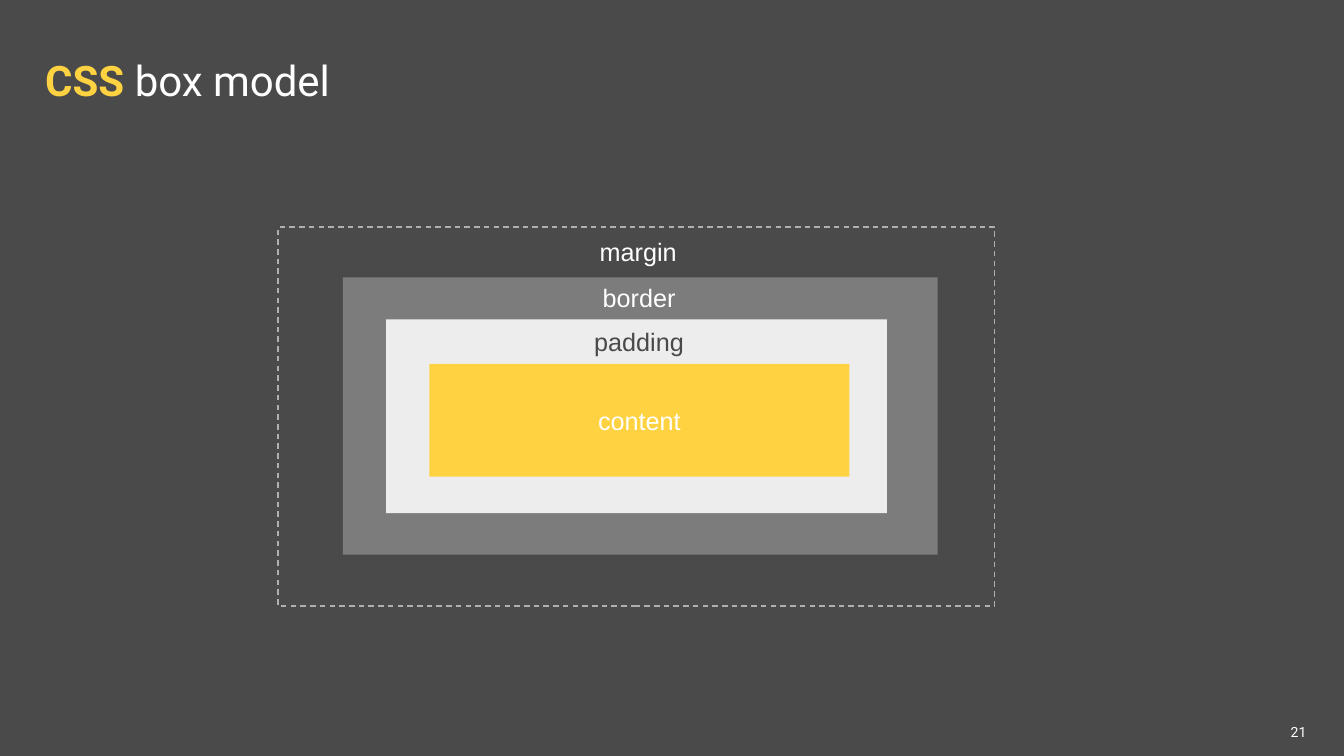
"""Build the CSS box model slide."""
from pptx import Presentation
from pptx.dml.color import RGBColor
from pptx.enum import dml, text
from pptx.enum.shapes import MSO_SHAPE
from pptx.util import Cm, Pt

WHITE, YELLOW, DARK = "FFFFFF", "FFD241", "4A4A4A"
TITLE = [("CSS ", YELLOW, True), ("box model", WHITE, False)]
PAGE = "21"
BOXES = [
    ((7.01, 5.72, 18.06, 9.55), None),
    ((8.64, 6.99, 14.99, 6.99), "7C7C7C"),
    ((9.73, 8.05, 12.62, 4.88), "EDEDED"),
    ((10.82, 9.17, 10.59, 2.84), YELLOW),
]
LABELS = [
    ("margin", 5.84, 2.51, WHITE),
    ("border", 6.99, 2.36, WHITE),
    ("padding", 8.1, 2.79, "494949"),
]
LABEL_CENTER, LABEL_HEIGHT = 16.12, 1.02


def rgb(value):
    return RGBColor.from_string(value)


def add_run(p, words, font, size, color, bold=False):
    r = p.add_run()
    r.text = words
    r.font.name, r.font.size, r.font.bold = font, Pt(size), bold
    r.font.color.rgb = rgb(color)


def add_box(s, place, fill):
    sp = s.shapes.add_shape(MSO_SHAPE.RECTANGLE, *map(Cm, place))
    sp.shadow.inherit = False
    if fill:
        sp.fill.solid()
        sp.fill.fore_color.rgb = rgb(fill)
        sp.line.fill.background()
    else:
        sp.fill.background()
        sp.line.color.rgb = rgb("AFAFAF")
        sp.line.width = Pt(1)
        sp.line.dash_style = dml.MSO_LINE.DASH
    return sp


def add_centered(tf, words, font, size, color):
    tf.vertical_anchor = text.MSO_ANCHOR.MIDDLE
    p = tf.paragraphs[0]
    p.alignment = text.PP_ALIGN.CENTER
    add_run(p, words, font, size, color)


def add_title(s):
    sp = s.shapes.title
    sp.left, sp.top, sp.width, sp.height = map(Cm, (1.14, 0.94, 31.12, 1.7))
    tf = sp.text_frame
    tf.auto_size = text.MSO_AUTO_SIZE.NONE
    tf.vertical_anchor = text.MSO_ANCHOR.TOP
    tf.margin_left = 0
    p = tf.paragraphs[0]
    p.alignment = text.PP_ALIGN.LEFT
    p.line_spacing = Pt(45)
    for words, color, bold in TITLE:
        add_run(p, words, "Roboto", 30, color, bold)


def main():
    prs = Presentation()
    prs.slide_width, prs.slide_height = Cm(33.87), Cm(19.05)
    s = prs.slides.add_slide(prs.slide_layouts[5])
    s.background.fill.solid()
    s.background.fill.fore_color.rgb = rgb(DARK)
    add_title(s)

    for place, fill in BOXES:
        sp = add_box(s, place, fill)
    add_centered(sp.text_frame, "content", "Arial", 18, WHITE)

    for words, top, width, color in LABELS:
        place = (LABEL_CENTER - width / 2, top, width, LABEL_HEIGHT)
        tf = s.shapes.add_textbox(*map(Cm, place)).text_frame
        tf.auto_size = text.MSO_AUTO_SIZE.SHAPE_TO_FIT_TEXT
        tf.word_wrap = False
        add_run(tf.paragraphs[0], words, "Arial", 18, color)

    page = s.shapes.add_textbox(*map(Cm, (32.23, 18.11, 0.99, 0.66)))
    page.text_frame.word_wrap = True
    add_centered(page.text_frame, PAGE, "Roboto", 10, WHITE)
    prs.save("out.pptx")


if __name__ == "__main__":
    main()
